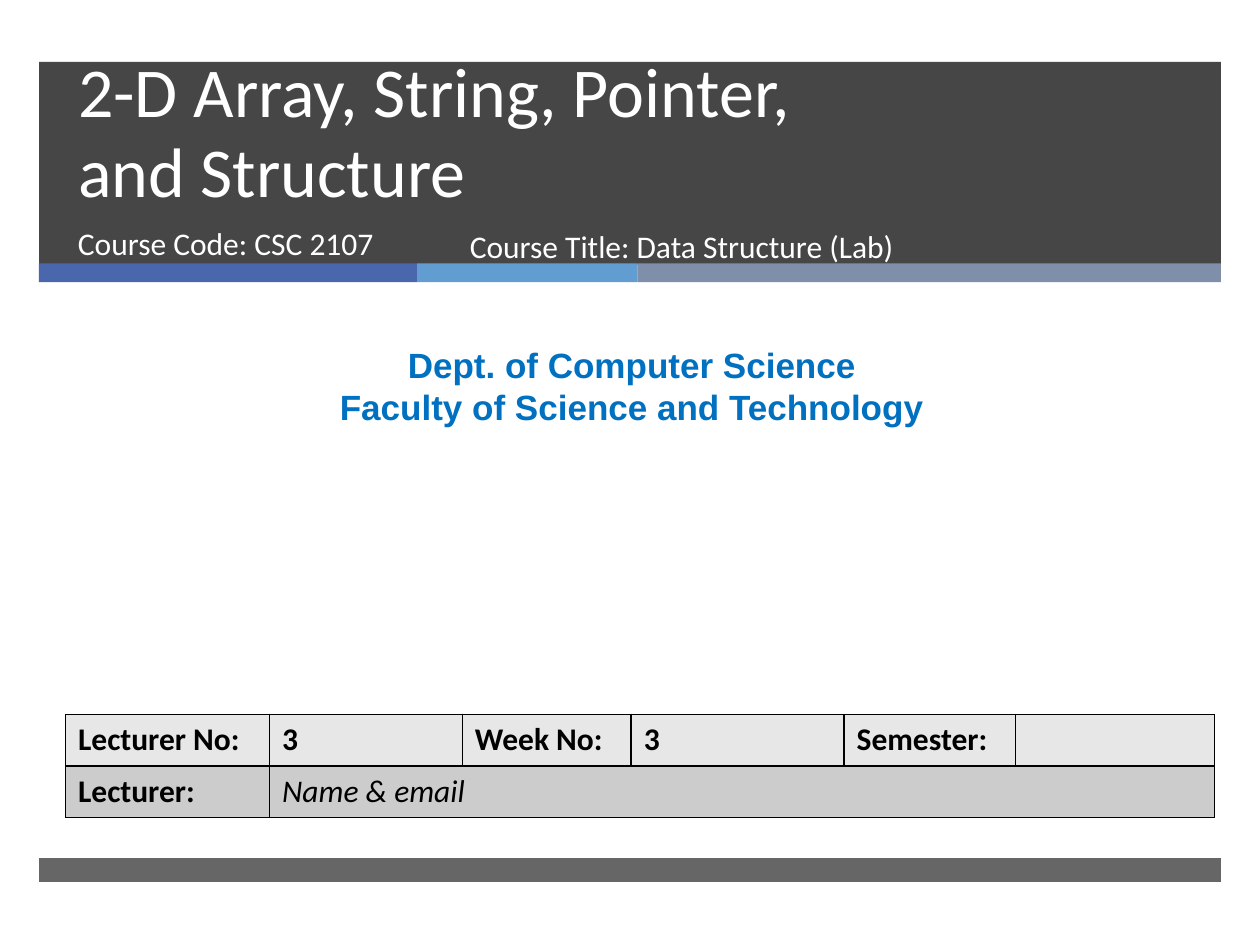
import dataclasses

import pptx
import pptx.dml.color
import pptx.enum.shapes
import pptx.enum.text
import pptx.oxml.ns
import pptx.util
from lxml import etree
from pptx.util import Inches

ALIGN = pptx.enum.text.PP_ALIGN
ANCHOR = pptx.enum.text.MSO_ANCHOR


@dataclasses.dataclass(frozen=True)
class Theme:
    dark: str = "262626"
    accents: tuple[str, ...] = ("4A66AC", "629DD1", "7F8FA9")
    department: str = "0070C0"
    white: str = "FFFFFF"
    black: str = "000000"
    row_fills: tuple[str, ...] = ("E7E7E7", "CCCCCC")
    font: str = "Calibri"
    department_font: str = "Arial"
    title_size: int = 40
    title_leading: int = 46
    department_size: int = 20
    body_size: int = 18


@dataclasses.dataclass(frozen=True)
class Band:
    left: float
    top: float
    width: float
    height: float
    color: str
    opacity: int = 100


@dataclasses.dataclass(frozen=True)
class Style:
    size: int
    color: str
    font: str = "Calibri"
    bold: bool = False
    italic: bool = False
    align: ALIGN = ALIGN.LEFT


@dataclasses.dataclass(frozen=True)
class Label:
    left: float
    top: float
    width: float
    height: float
    text: str
    style: Style


THEME = Theme()
BODY = Style(THEME.body_size, THEME.white, THEME.font)
TITLE = Style(THEME.title_size, THEME.white, THEME.font)
DEPARTMENT = Style(THEME.department_size, THEME.department,
                   THEME.department_font, bold=True, align=ALIGN.CENTER)
CELL_BOLD = Style(THEME.body_size, THEME.black, THEME.font, bold=True)
CELL_ITALIC = Style(THEME.body_size, THEME.black, THEME.font, italic=True)

BAND_LEFT = 0.31
BAND_WIDTH = 9.38
ACCENT_WIDTHS = (3, 1.75, 4.63)
COLUMN_WIDTHS = (1.62, 1.53, 1.34, 1.69, 1.36, 1.58)
ROW_HEIGHT = 0.41
ROWS = (
    ("Lecturer No:", "3", "Week No:", "3", "Semester:", ""),
    ("Lecturer:", "Name & email"),
)
LABELS = (
    Label(0.52, 1.73, 3.05, 0.53, "Course Code: CSC 2107", BODY),
    Label(0.08, 2.68, 9.87, 0.77,
          "Dept. of Computer Science\nFaculty of Science and Technology", DEPARTMENT),
    Label(3.63, 1.75, 4.55, 0.53, "Course Title: Data Structure (Lab)", BODY),
)


def rgb(color: str) -> pptx.dml.color.RGBColor:
    return pptx.dml.color.RGBColor.from_string(color)


def write(frame: pptx.text.text.TextFrame, text: str, style: Style) -> None:
    frame.text = text
    for para in frame.paragraphs:
        para.alignment = style.align
        for span in para.runs:
            span.font.name = style.font
            span.font.size = pptx.util.Pt(style.size)
            span.font.bold = style.bold
            span.font.italic = style.italic
            span.font.color.rgb = rgb(style.color)


def draw_band(page: pptx.slide.Slide, band: Band) -> None:
    box = page.shapes.add_shape(
        pptx.enum.shapes.MSO_SHAPE.RECTANGLE,
        Inches(band.left), Inches(band.top), Inches(band.width), Inches(band.height))
    box.shadow.inherit = False
    box.line.fill.background()
    box.fill.solid()
    box.fill.fore_color.rgb = rgb(band.color)
    if band.opacity < 100:
        color = box.element.spPr.find(".//" + pptx.oxml.ns.qn("a:srgbClr"))
        etree.SubElement(color, pptx.oxml.ns.qn("a:alpha"), val=str(band.opacity * 1000))


def draw_bands(page: pptx.slide.Slide) -> None:
    draw_band(page, Band(BAND_LEFT, 0.49, BAND_WIDTH, 1.61, THEME.dark, 85))
    left = BAND_LEFT
    for width, color in zip(ACCENT_WIDTHS, THEME.accents):
        draw_band(page, Band(left, 2.09, width, 0.15, color))
        left += width
    draw_band(page, Band(BAND_LEFT, 6.81, BAND_WIDTH, 0.19, THEME.dark, 70))


def place_title(page: pptx.slide.Slide) -> None:
    title = page.shapes.title
    title.left, title.top = Inches(0.52), Inches(0.54)
    title.width, title.height = Inches(8.54), Inches(1.19)
    frame = title.text_frame
    frame.word_wrap = True
    frame.auto_size = pptx.enum.text.MSO_AUTO_SIZE.NONE
    frame.vertical_anchor = ANCHOR.BOTTOM
    write(frame, "2-D Array, String, Pointer, \vand Structure", TITLE)
    frame.paragraphs[0].line_spacing = pptx.util.Pt(THEME.title_leading)
    title.element.getparent().append(title.element)


def draw_label(page: pptx.slide.Slide, label: Label) -> None:
    box = page.shapes.add_textbox(
        Inches(label.left), Inches(label.top), Inches(label.width), Inches(label.height))
    box.text_frame.word_wrap = True
    write(box.text_frame, label.text, label.style)


def style_cell(cell: pptx.table._Cell, color: str) -> None:
    properties = cell._tc.get_or_add_tcPr()
    for side in ("a:lnL", "a:lnR", "a:lnT", "a:lnB"):
        line = etree.SubElement(properties, pptx.oxml.ns.qn(side), w=str(pptx.util.Pt(1)))
        fill = etree.SubElement(line, pptx.oxml.ns.qn("a:solidFill"))
        etree.SubElement(fill, pptx.oxml.ns.qn("a:srgbClr"), val=THEME.black)
    cell.fill.solid()
    cell.fill.fore_color.rgb = rgb(color)


def draw_lecture_table(page: pptx.slide.Slide) -> None:
    table = page.shapes.add_table(
        len(ROWS), len(COLUMN_WIDTHS), Inches(0.52), Inches(5.67),
        Inches(sum(COLUMN_WIDTHS)), Inches(ROW_HEIGHT * len(ROWS))).table
    for column, width in zip(table.columns, COLUMN_WIDTHS):
        column.width = Inches(width)
    for row, texts, color in zip(table.rows, ROWS, THEME.row_fills):
        row.height = Inches(ROW_HEIGHT)
        for cell in row.cells:
            style_cell(cell, color)
        for cell, text in zip(row.cells, texts):
            write(cell.text_frame, text, CELL_BOLD)
    lecturer = table.cell(1, 1)
    lecturer.merge(table.cell(1, len(COLUMN_WIDTHS) - 1))
    write(lecturer.text_frame, ROWS[1][1], CELL_ITALIC)


def main() -> None:
    deck = pptx.Presentation()
    deck.slide_width, deck.slide_height = Inches(10), Inches(7.5)
    page = deck.slides.add_slide(deck.slide_layouts.get_by_name("Title Only"))
    draw_bands(page)
    place_title(page)
    for label in LABELS:
        draw_label(page, label)
    draw_lecture_table(page)
    deck.save("out.pptx")


if __name__ == "__main__":
    main()
